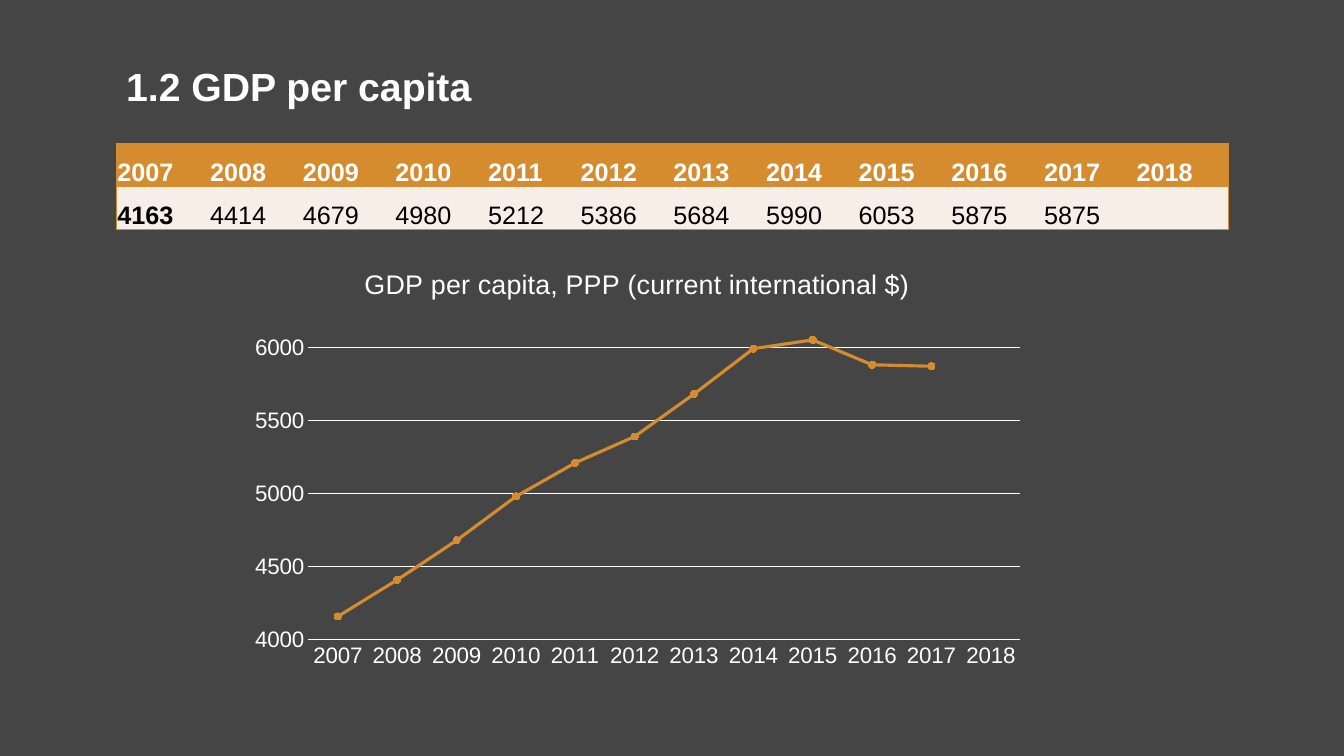
"""Build the GDP per capita slide with its yearly table and line chart."""
from dataclasses import dataclass

from lxml import etree
from pptx import Presentation
from pptx.chart.data import CategoryChartData
from pptx.dml.color import RGBColor
from pptx.enum.chart import XL_CHART_TYPE, XL_MARKER_STYLE, XL_TICK_MARK
from pptx.enum.text import MSO_ANCHOR
from pptx.oxml import parse_xml
from pptx.oxml.ns import nsdecls, qn
from pptx.util import Cm, Pt

LINE_MARKERS = XL_CHART_TYPE.LINE_MARKERS
CIRCLE = XL_MARKER_STYLE.CIRCLE
NO_TICK = XL_TICK_MARK.NONE
TOP, BOTTOM = MSO_ANCHOR.TOP, MSO_ANCHOR.BOTTOM


@dataclass(frozen=True)
class Theme:
    font: str = "Arial"
    background: RGBColor = RGBColor(0x45, 0x45, 0x45)
    accent: RGBColor = RGBColor(0xD5, 0x8C, 0x2E)
    pale: RGBColor = RGBColor(0xF7, 0xEE, 0xE8)
    white: RGBColor = RGBColor(0xFF, 0xFF, 0xFF)
    black: RGBColor = RGBColor(0, 0, 0)
    heading_size: float = 28
    table_size: float = 18
    caption_size: float = 19.2
    axis_size: float = 16


theme = Theme()
years = [str(year) for year in range(2007, 2019)]
gdp = [4163, 4414, 4679, 4980, 5212, 5386, 5684, 5990, 6053, 5875, 5875, None]
plotted_gdp = [4160, 4410, 4680, 4980, 5210, 5390, 5680, 5990, 6050, 5880, 5870, None]


def style_font(font, size, color, bold=False):
    font.name = theme.font
    font.size = Pt(size)
    font.bold = bold
    font.color.rgb = color


def place(parent, index, modes, percents):
    layout = parse_xml(f"<c:layout {nsdecls('c')}><c:manualLayout/></c:layout>")
    fractions = {tag: percent / 100 for tag, percent in percents.items()}
    for tag, value in {**modes, "xMode": "edge", "yMode": "edge", **fractions}.items():
        etree.SubElement(layout[0], qn(f"c:{tag}"), val=str(value))
    for old in parent.findall(qn("c:layout")):
        parent.remove(old)
    parent.insert(index, layout)


prs = Presentation()
prs.slide_width, prs.slide_height = Cm(33.87), Cm(19.05)
slide = prs.slides.add_slide(prs.slide_layouts[6])
slide.background.fill.solid()
slide.background.fill.fore_color.rgb = theme.background

heading = slide.shapes.add_textbox(Cm(2.93), Cm(1.5), Cm(23.95), Cm(2.69)).text_frame
heading.word_wrap = True
heading.vertical_anchor = TOP
heading.margin_top = Cm(0.2)
heading.paragraphs[0].line_spacing = 0.9
heading_run = heading.paragraphs[0].add_run()
heading_run.text = "1.2 GDP per capita"
style_font(heading_run.font, theme.heading_size, theme.white, True)

gdp_frame = slide.shapes.add_table(2, len(years), Cm(2.93), Cm(3.61), Cm(28.02), Cm(2.18))
gdp_table = gdp_frame.table
gdp_table.horz_banding = False
style_id = gdp_table._tbl.tblPr.find(qn("a:tableStyleId"))
style_id.text = "{2D5ABB26-0587-4C30-8999-92F81FD0307C}"

for row, values in enumerate((years, gdp)):
    for column, value in enumerate(values):
        cell = gdp_table.cell(row, column)
        sides = {"lnL": column == 0, "lnR": column == len(years) - 1,
                 "lnT": True, "lnB": True}
        for side, drawn in sides.items():
            if drawn:
                cell._tc.get_or_add_tcPr().append(parse_xml(
                    f'<a:{side} {nsdecls("a")} w="12700"><a:solidFill>'
                    f'<a:srgbClr val="{theme.accent}"/></a:solidFill></a:{side}>'))
        cell.fill.solid()
        cell.fill.fore_color.rgb = theme.pale if row else theme.accent
        cell.vertical_anchor = BOTTOM
        cell.margin_left = cell.margin_right = cell.margin_top = Cm(0.03)
        cell.margin_bottom = Cm(0)
        if value is not None:
            value_run = cell.text_frame.paragraphs[0].add_run()
            value_run.text = str(value)
            style_font(value_run.font, theme.table_size,
                       theme.black if row else theme.white, row == 0 or column == 0)

chart_data = CategoryChartData(number_format="General")
chart_data.categories = years
chart_data.add_series("Series 1", plotted_gdp)
chart = slide.shapes.add_chart(
    LINE_MARKERS, Cm(6.05), Cm(6.25), Cm(20.07), Cm(10.82), chart_data).chart
chart.has_legend = False
style_font(chart.font, theme.axis_size, theme.white)

caption = chart.chart_title
caption_run = caption.text_frame.paragraphs[0].add_run()
caption_run.text = "GDP per capita, PPP (current international $)"
style_font(caption_run.font, theme.caption_size, theme.white)
caption.include_in_layout = False
place(caption._element, 1, {}, {"x": 15, "y": 3.1})
place(chart._chartSpace.chart.plotArea, 0, {"layoutTarget": "inner"},
      {"x": 8.55, "y": 16.3, "w": 89.45, "h": 75})

for axis in (chart.category_axis, chart.value_axis):
    axis.major_tick_mark = axis.minor_tick_mark = NO_TICK
    style_font(axis.tick_labels.font, theme.axis_size, theme.white)

year_axis, gdp_axis = chart.category_axis, chart.value_axis
gdp_axis.minimum_scale, gdp_axis.maximum_scale = 4000, 6200
gdp_axis.major_unit = 500
gdp_axis.format.line.fill.background()
gdp_axis.has_major_gridlines = True
for line in (year_axis.format.line, gdp_axis.major_gridlines.format.line):
    line.width = Pt(0.75)
    line.color.rgb = theme.white

gdp_series = chart.plots[0].series[0]
gdp_series.smooth = False
gdp_series.format.line.width = Pt(2.25)
gdp_series.format.line.color.rgb = theme.accent
gdp_series.marker.style = CIRCLE
gdp_series.marker.size = 5
gdp_series.marker.format.fill.solid()
gdp_series.marker.format.fill.fore_color.rgb = theme.accent
gdp_series.marker.format.line.color.rgb = theme.accent
chart.plots[0].vary_by_categories = False

prs.save("out.pptx")
